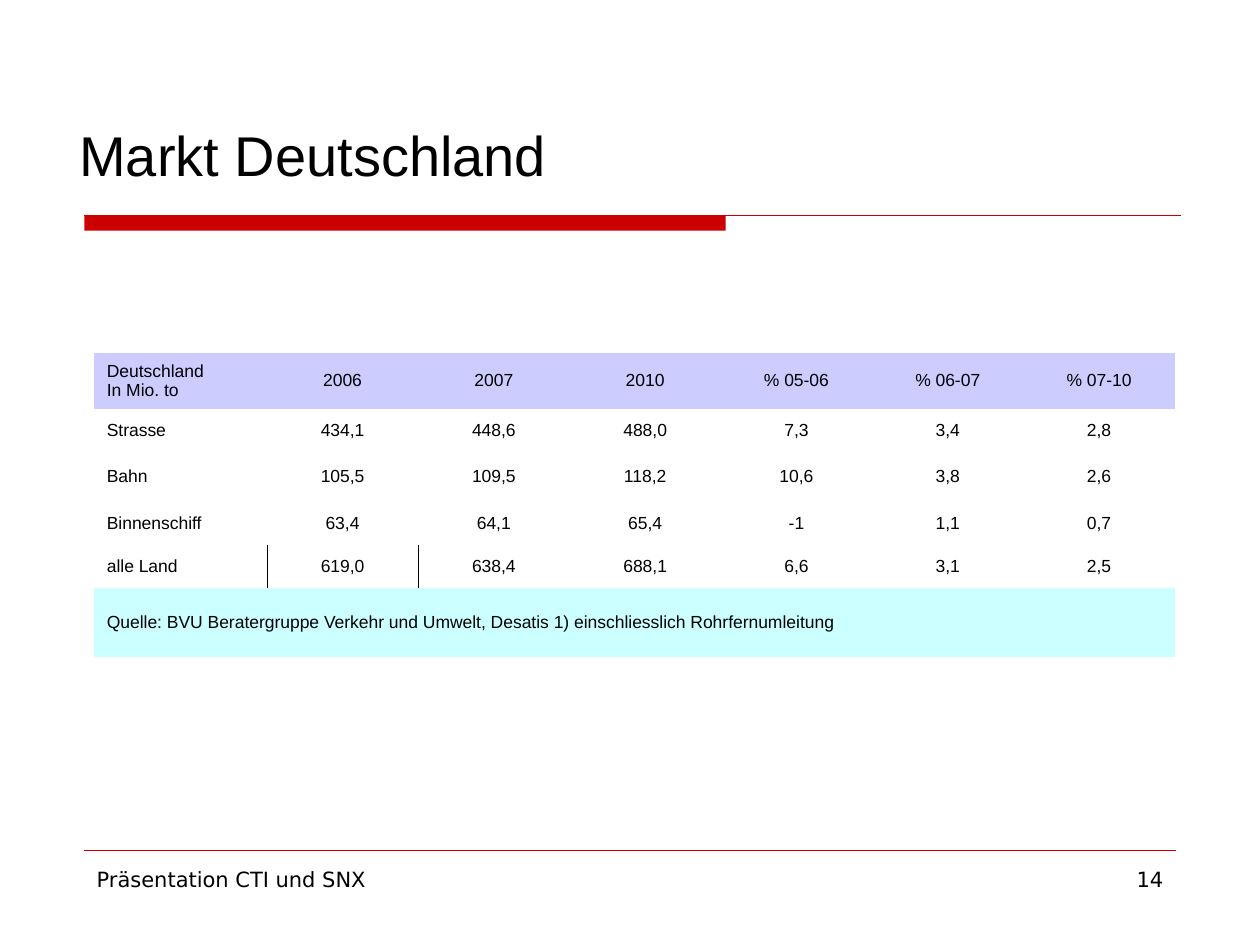
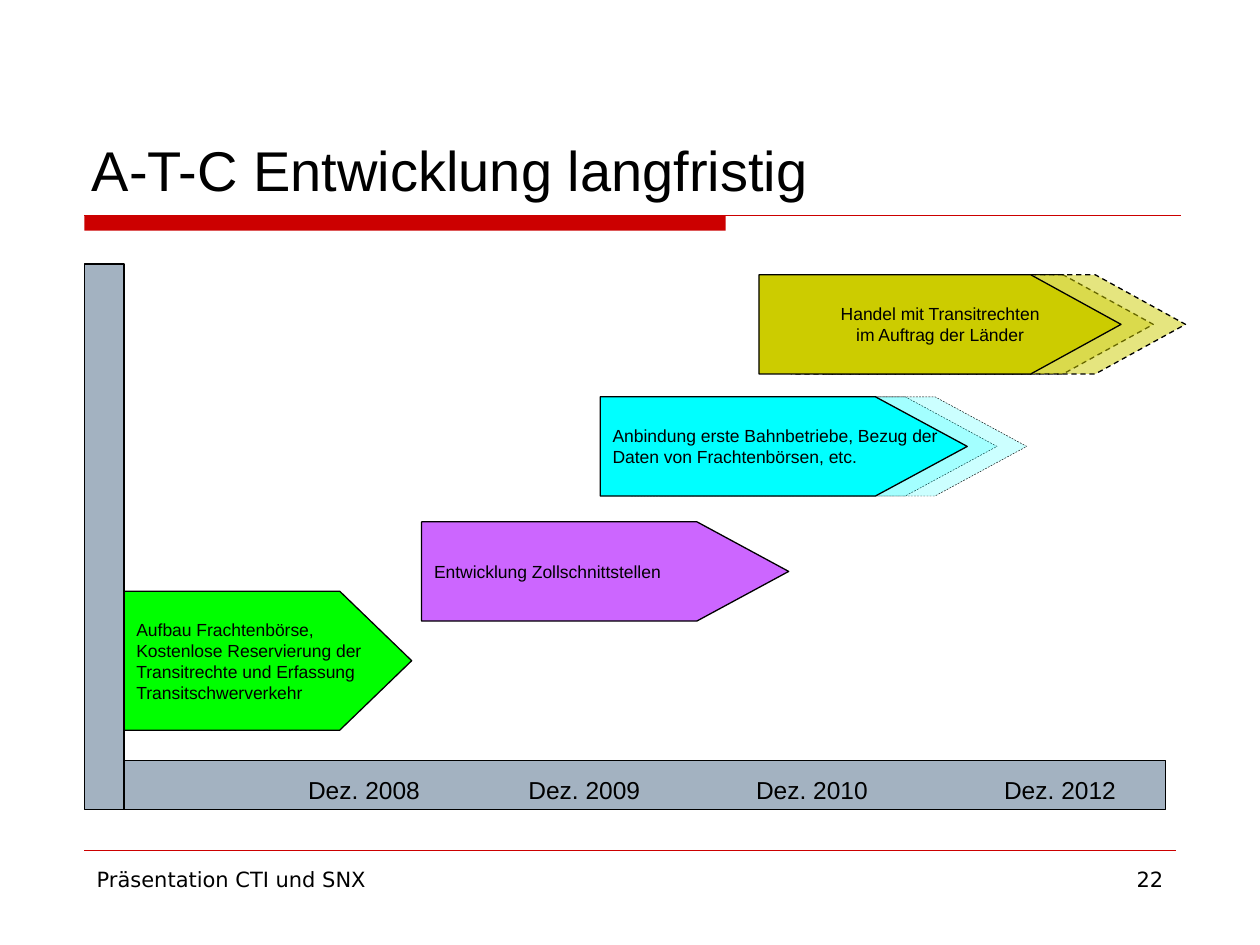
from dataclasses import dataclass

from lxml import etree
from pptx import Presentation
from pptx.dml.color import RGBColor
from pptx.enum import dml, shapes, text
from pptx.oxml import ns
from pptx.util import Cm, Pt


@dataclass(frozen=True)
class Theme:
    red: str = "CC0000"
    black: str = "000000"
    axis: str = "A3B2C1"
    header: str = "CCCCFF"
    source: str = "CCFFFF"
    green: str = "00FF00"
    violet: str = "CC66FF"
    cyan: str = "00FFFF"
    olive: str = "CCCC00"
    body_font: str = "Arial"
    footer_font: str = "DejaVu Sans"
    title_size: float = 32
    date_size: float = 14
    footer_size: float = 12
    body_size: float = 10
    line: float = 0.75
    hairline: float = 0.25
    cell_line: float = 0.11


THEME = Theme()
ALIGN = text.PP_ALIGN
ANCHOR = text.MSO_ANCHOR
NO_TABLE_STYLE = "{2D5ABB26-0587-4C30-8999-92F81FD0307C}"
LEFT_EDGE = 1.7  # cm, shared by the title band, footer and time axis

MARKET = [
    ["Deutschland\nIn Mio. to", "2006", "2007", "2010", "% 05-06", "% 06-07", "% 07-10"],
    ["Strasse", "434,1", "448,6", "488,0", "7,3", "3,4", "2,8"],
    ["Bahn", "105,5", "109,5", "118,2", "10,6", "3,8", "2,6"],
    ["Binnenschiff", "63,4", "64,1", "65,4", "-1", "1,1", "0,7"],
    ["alle Land", "619,0", "638,4", "688,1", "6,6", "3,1", "2,5"],
]
MARKET_SOURCE = ("Quelle: BVU Beratergruppe Verkehr und Umwelt, Desatis 1) "
                 "einschliesslich Rohrfernumleitung")
ROW_HEIGHTS = [1.12, 0.86, 1.03, 0.86, 0.86, 1.39]


def rgb(color):
    return RGBColor.from_string(color)


def write(frame, content, size=THEME.body_size, font=THEME.body_font,
          color=THEME.black, align=ALIGN.LEFT):
    """Fill a text frame, one paragraph per line of content."""
    frame.word_wrap = True
    for number, line in enumerate(content.split("\n")):
        paragraph = frame.add_paragraph() if number else frame.paragraphs[0]
        paragraph.alignment = align
        run = paragraph.add_run()
        run.text = line
        run.font.size = Pt(size)
        run.font.name = font
        run.font.color.rgb = rgb(color)


def add_label(slide, content, left, top, width, height, anchor=ANCHOR.TOP, **style):
    label = slide.shapes.add_textbox(Cm(left), Cm(top), Cm(width), Cm(height))
    write(label.text_frame, content, **style)
    label.text_frame.vertical_anchor = anchor


def paint(shape, fill, opacity=None, weight=THEME.line, dashed=False):
    """Give a shape its fill and black outline."""
    shape.shadow.inherit = False
    shape.fill.solid()
    shape.fill.fore_color.rgb = rgb(fill)
    if opacity is not None:
        color = shape.fill._xPr.find(ns.qn("a:solidFill"))[0]
        etree.SubElement(color, ns.qn("a:alpha"), val=str(opacity * 1000))
    shape.line.color.rgb = rgb(THEME.black)
    shape.line.width = Pt(weight)
    if dashed:
        shape.line.dash_style = dml.MSO_LINE.DASH


def add_bar(slide, fill, left, top, width, height):
    bar = slide.shapes.add_shape(shapes.MSO_SHAPE.RECTANGLE,
                                 Cm(left), Cm(top), Cm(width), Cm(height))
    paint(bar, fill)
    return bar


def add_rule(slide, top, width, weight):
    rule = slide.shapes.add_connector(shapes.MSO_CONNECTOR.STRAIGHT, Cm(LEFT_EDGE),
                                      Cm(top), Cm(LEFT_EDGE + width), Cm(top))
    rule.line.color.rgb = rgb(THEME.red)
    rule.line.width = Pt(weight)
    etree.SubElement(rule._element.spPr, ns.qn("a:effectLst"))


def add_phase(slide, fill, left, top, width, height, tip, content="",
              align=ALIGN.LEFT, **look):
    """Pentagon pointing right, with its text over the full width."""
    right, bottom = left + width, top + height
    corners = [(right - tip, top), (right, top + height / 2),
               (right - tip, bottom), (left, bottom)]
    builder = slide.shapes.build_freeform(Cm(left), Cm(top))
    builder.add_line_segments([(Cm(x), Cm(y)) for x, y in corners], close=True)
    phase = builder.convert_to_shape()
    paint(phase, fill, **look)
    if content:
        write(phase.text_frame, content, align=align)
        phase.text_frame.vertical_anchor = ANCHOR.MIDDLE


def add_fading_phase(slide, fill, left, top, width, height, tip, content,
                     step, opacities, weight, align=ALIGN.LEFT):
    """Phase with transparent echoes behind it, each one step further right."""
    for number, opacity in enumerate(opacities, start=1):
        add_phase(slide, fill, left + number * step, top, width, height, tip,
                  opacity=opacity, weight=weight, dashed=True)
    add_phase(slide, fill, left, top, width, height, tip, content, align)


def add_cell_border(cell, side):
    border = etree.Element(ns.qn(f"a:{side}"), w=str(Pt(THEME.cell_line)))
    fill = etree.SubElement(border, ns.qn("a:solidFill"))
    etree.SubElement(fill, ns.qn("a:srgbClr"), val=THEME.black)
    cell._tc.get_or_add_tcPr().insert(0, border)


def fill_cell(cell, content, fill=None, align=ALIGN.LEFT):
    write(cell.text_frame, content, align=align)
    cell.vertical_anchor = ANCHOR.MIDDLE
    if fill:
        cell.fill.solid()
        cell.fill.fore_color.rgb = rgb(fill)
    else:
        cell.fill.background()


def add_market_table(slide):
    columns = len(MARKET[0])
    frame = slide.shapes.add_table(len(ROW_HEIGHTS), columns, Cm(1.9), Cm(7.12),
                                   Cm(21.8), Cm(sum(ROW_HEIGHTS)))
    market = frame.table
    market._tbl.tblPr.find(ns.qn("a:tableStyleId")).text = NO_TABLE_STYLE
    market.first_row = market.horz_banding = False
    for number, column in enumerate(market.columns):
        column.width = Cm(3.05) if number else Cm(3.48)
    for row, height in zip(market.rows, ROW_HEIGHTS):
        row.height = Cm(height)

    for r, values in enumerate(MARKET):
        for c, value in enumerate(values):
            fill_cell(market.cell(r, c), value,
                      fill=None if r else THEME.header,
                      align=ALIGN.CENTER if c else ALIGN.LEFT)

    # Line between the total's name and its values
    total = len(MARKET) - 1
    add_cell_border(market.cell(total, 0), "lnR")
    add_cell_border(market.cell(total, 1), "lnL")

    # Source note across all columns
    note = market.cell(total + 1, 0)
    note.merge(market.cell(total + 1, columns - 1))
    fill_cell(note, MARKET_SOURCE, fill=THEME.source)


def add_base_slide(deck, title, number, title_left, title_top):
    """Slide with title, red band and footer."""
    slide = deck.slides.add_slide(deck.slide_layouts[6])
    band = add_bar(slide, THEME.red, LEFT_EDGE, 4.34, 12.93, 0.31)
    band.line.fill.background()
    add_rule(slide, 4.34, 22.1, THEME.line)
    add_rule(slide, 17.15, 22, THEME.hairline)
    footer = dict(size=THEME.footer_size, font=THEME.footer_font)
    add_label(slide, "Präsentation CTI und SNX", LEFT_EDGE, 17.35, 8.2, 1.32, **footer)
    add_label(slide, number, 18.2, 17.35, 5.5, 1.32, align=ALIGN.RIGHT, **footer)
    add_label(slide, title, title_left, title_top, 22.23, 3.38,
              anchor=ANCHOR.BOTTOM, size=THEME.title_size)
    return slide


def build_market(deck):
    slide = add_base_slide(deck, "Markt Deutschland", "14", 1.35, 0.53)
    add_market_table(slide)


def build_roadmap(deck):
    slide = add_base_slide(deck, "A-T-C Entwicklung langfristig", "22", 1.6, 0.84)

    # First phase and axes
    add_phase(slide, THEME.green, 2.5, 11.92, 5.8, 2.8, 1.45,
              "Aufbau Frachtenbörse, Kostenlose Reservierung der "
              "Transitrechte und Erfassung Transitschwerverkehr")
    add_bar(slide, THEME.axis, 2.5, 15.33, 21, 0.99)
    add_bar(slide, THEME.axis, LEFT_EDGE, 5.32, 0.8, 11)

    # Dates along the time axis
    for year, center in [(2008, 7.34), (2009, 11.78), (2010, 16.37), (2012, 21.37)]:
        add_label(slide, f"Dez. {year}", center - 1.75, 15.5, 3.5, 0.85,
                  size=THEME.date_size, align=ALIGN.CENTER)

    # Later phases
    add_fading_phase(slide, THEME.cyan, 12.1, 8, 7.4, 2, 1.85,
                     "Anbindung erste Bahnbetriebe, Bezug der Daten von "
                     "Frachtenbörsen, etc.",
                     step=0.6, opacities=[20, 20], weight=THEME.hairline)
    add_fading_phase(slide, THEME.olive, 15.3, 5.54, 7.3, 2, 1.82,
                     "Handel mit Transitrechten\nim Auftrag der Länder",
                     step=0.65, opacities=[40, 50], weight=THEME.line,
                     align=ALIGN.CENTER)
    add_phase(slide, THEME.violet, 8.5, 10.52, 7.4, 2, 1.85,
              "Entwicklung Zollschnittstellen")


def main():
    deck = Presentation()
    deck.slide_width, deck.slide_height = Cm(25.4), Cm(19.05)
    build_market(deck)
    build_roadmap(deck)
    deck.save("out.pptx")


if __name__ == "__main__":
    main()
